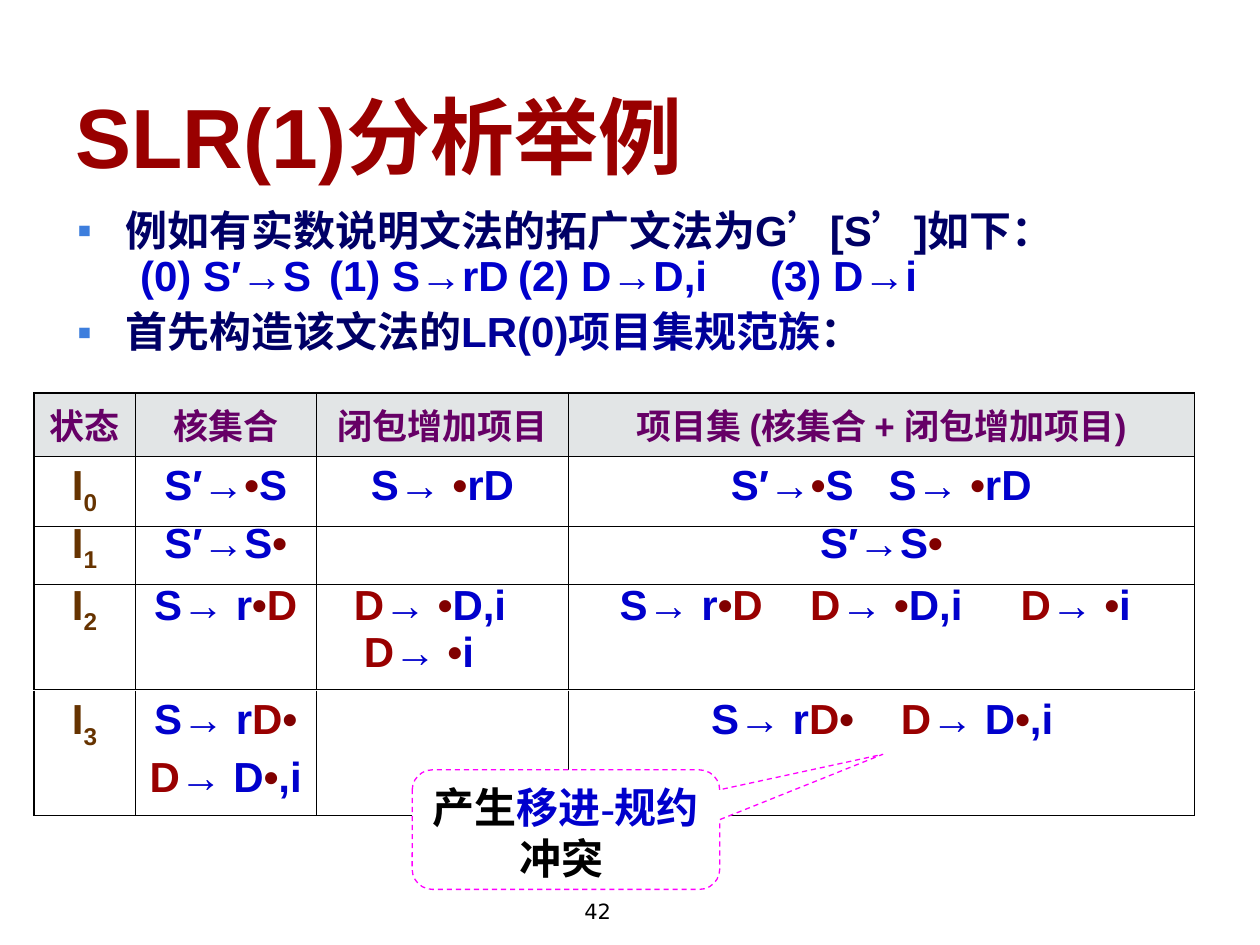
from lxml.etree import SubElement as Sub
from pptx import Presentation
from pptx.dml.color import RGBColor as RGB
from pptx.enum.dml import MSO_LINE as Dash
from pptx.enum.shapes import MSO_SHAPE as Kind
from pptx.enum.text import MSO_ANCHOR as Anchor, MSO_AUTO_SIZE as Fit, PP_ALIGN as Align
from pptx.oxml.ns import qn
from pptx.util import Cm, Pt

HUES = {
    "red": "990000", "navy": "000066", "deep": "000099", "blue": "0000CC",
    "dot": "800000", "head": "660066", "state": "663300", "sub": "663300",
    "black": "000000", "mark": "3D7EDD", "grey": "C6CCCE", "pink": "FF00FF",
    "white": "FFFFFF",
}
NO_STYLE = "{2D5ABB26-0587-4C30-8999-92F81FD0307C}"


def put(par, text, size=24, name="Arial", bold=True, align=Align.CENTER, before=0, tabs=()):
    """Write 'hue:text|hue:text' as runs; tabs are stops in cm, and make it left aligned."""
    look = {"alignment": Align.LEFT if tabs else align, "space_before": Pt(before)}
    for key, val in look.items():
        setattr(par, key, val)
    if tabs:
        stops = Sub(par._p.get_or_add_pPr(), qn("a:tabLst"))
        for stop in tabs:
            Sub(stops, qn("a:tab"), pos=str(Cm(stop)), algn="l")
    for part in text.split("|"):
        hue, words = part.split(":")
        run = par.add_run()
        run.text = words
        for key, val in {"size": Pt(size), "name": name, "bold": bold}.items():
            setattr(run.font, key, val)
        run.font.color.rgb = RGB.from_string(HUES[hue])
        if hue == "sub":
            run._r.get_or_add_rPr().set("baseline", "-25000")


def edge(cell, side, width):
    line = Sub(cell._tc.get_or_add_tcPr(), qn("a:ln" + side), w=str(Pt(width)))
    if width:
        Sub(Sub(line, qn("a:solidFill")), qn("a:srgbClr"), val=HUES["black"])
    else:
        Sub(line, qn("a:noFill"))


prs = Presentation()
prs.slide_width, prs.slide_height = Cm(25.4), Cm(19.05)
slide = prs.slides.add_slide(prs.slide_layouts[1])
shapes = slide.shapes

# Title and list
title, body = shapes.title, slide.placeholders[1]
for holder, box in ((title, (1.27, 1.52, 22.63, 2.39)), (body, (1.3, 4.11, 22.86, 3.4))):
    holder.left, holder.top, holder.width, holder.height = map(Cm, box)
    holder.text_frame.auto_size = Fit.NONE
title.text_frame.vertical_anchor = Anchor.MIDDLE
put(title.text_frame.paragraphs[0], "red:SLR(1)分析举例", size=48, align=Align.LEFT)

lines = [
    (True, 0, (), "navy:例如有实数说明文法的拓广文法为G’[S’]如下："),
    (False, 0, (2, 7.09, 12.37, 18.11),
     "blue:\t(0) S′→S\t(1) S→rD\t(2) D→D,i\t(3) D→i"),
    (True, 6, (), "navy:首先构造该文法的|deep:LR(0)项目集规范族|navy:："),
]
frame = body.text_frame
for i, (mark, before, tabs, text) in enumerate(lines):
    par = frame.add_paragraph() if i else frame.paragraphs[0]
    par.line_spacing = 0.9
    par.space_before = Pt(before)
    props = par._p.get_or_add_pPr()
    hang = Cm(0.97) if mark else 0
    props.set("marL", str(hang))
    props.set("indent", str(-hang))
    if mark:
        Sub(Sub(props, qn("a:buClr")), qn("a:srgbClr"), val=HUES["mark"])
        Sub(props, qn("a:buFont"), typeface="Arial")
        Sub(props, qn("a:buChar"), char="▪")
    else:
        Sub(props, qn("a:buNone"))
    put(par, text, align=Align.LEFT, before=before, tabs=tabs)

# Item sets: one table per block of states; a cell is (text, tab stops)
wides = (2.03, 3.66, 5.08, 12.62)
blocks = [
    (7.92, (1.12, 1.42), [
        [("head:状态", ()), ("head:核集合", ()), ("head:闭包增加项目", ()),
         ("head:项目集 (核集合 + 闭包增加项目)", ())],
        [("state:I|sub:0", ()), ("blue:S′→|dot:•|blue:S", ()),
         ("blue:S→ |dot:•|blue:rD", ()),
         ("blue:\tS′→|dot:•|blue:S\tS→ |dot:•|blue:rD", (3.02, 6.2))],
    ]),
    (10.36, (1.42,), [
        [("state:I|sub:1", ()), ("blue:S′→S|dot:•", ()), ("", ()),
         ("blue:S′→S|dot:•", ())],
    ]),
    (11.61, (2.29,), [
        [("state:I|sub:2", ()), ("blue:S→ r|dot:•|red:D", ()),
         ("red:\tD|blue:→ |dot:•|blue:D,i\nred:\tD|blue:→ |dot:•|blue:i", (0.5, 0.7)),
         ("blue:\tS→ r|dot:•|red:D\tD|blue:→ |dot:•|blue:D,i\t|red:D|blue:→ |dot:•|blue:i",
          (0.78, 4.62, 8.86))],
    ]),
    (13.92, (2.51,), [
        [("state:I|sub:3", ()),
         ("blue:S→ r|red:D|dot:•\nred:D|blue:→ D|dot:•|blue:,i", ()), ("", ()),
         ("blue:\tS→ r|red:D|dot:•\t|red:D|blue:→ D|dot:•|blue:,i", (2.62, 6.45))],
    ]),
]
for top, highs, rows in blocks:
    grid = shapes.add_table(len(rows), len(wides), Cm(0.69), Cm(top),
                            Cm(sum(wides)), Cm(sum(highs))).table
    grid._tbl.tblPr.find(qn("a:tableStyleId")).text = NO_STYLE
    grid.first_row = grid.horz_banding = False
    for col, wide in zip(grid.columns, wides):
        col.width = Cm(wide)
    for r, cells in enumerate(rows):
        grid.rows[r].height = Cm(highs[r])
        header = cells[0][0].startswith("head")
        for c, (text, tabs) in enumerate(cells):
            cell = grid.cell(r, c)
            above = 1.08 if header else 0.45 if r else 0
            for side, width in (("L", 0.45 if c else 1.08), ("R", 1.08 if c == 3 else 0.45),
                                ("T", above), ("B", 0.45)):
                edge(cell, side, width)
            if header:
                cell.fill.solid()
                cell.fill.fore_color.rgb = RGB.from_string(HUES["grey"])
                tint = cell._tc.tcPr.find(qn("a:solidFill"))[0]
                Sub(tint, qn("a:alpha"), val="50000")
            else:
                cell.fill.background()
            for i, line in enumerate(text.split("\n") if text else ()):
                frame = cell.text_frame
                par = frame.add_paragraph() if i else frame.paragraphs[0]
                # in a cell with stops, each line starts at its own stop
                stops = tabs[i:] if "\n" in text else tabs
                put(par, line, size=20 if header else 24, tabs=stops,
                    before=6 if i and not tabs else 0)

# Callout on the conflict
note = shapes.add_shape(Kind.ROUNDED_RECTANGULAR_CALLOUT, Cm(8.31), Cm(15.52), Cm(6.2), Cm(2.41))
for i, val in enumerate((1.03, -0.63, 0.17)):
    note.adjustments[i] = val
note.shadow.inherit = False
note.fill.solid()
note.fill.fore_color.rgb = RGB.from_string(HUES["white"])
note.line.color.rgb = RGB.from_string(HUES["pink"])
note.line.width = Pt(0.75)
note.line.dash_style = Dash.DASH
note.text_frame.word_wrap = True
note.text_frame.vertical_anchor = Anchor.TOP
put(note.text_frame.paragraphs[0], "black:产生|blue:移进-规约|black:冲突 ", name="Times New Roman")

# Page number
page = shapes.add_textbox(Cm(9.09), Cm(17.98), Cm(5.92), Cm(0.84)).text_frame
page.word_wrap = True
put(page.paragraphs[0], "black:42", size=12, name="DejaVu Sans", bold=False)

prs.save("out.pptx")
